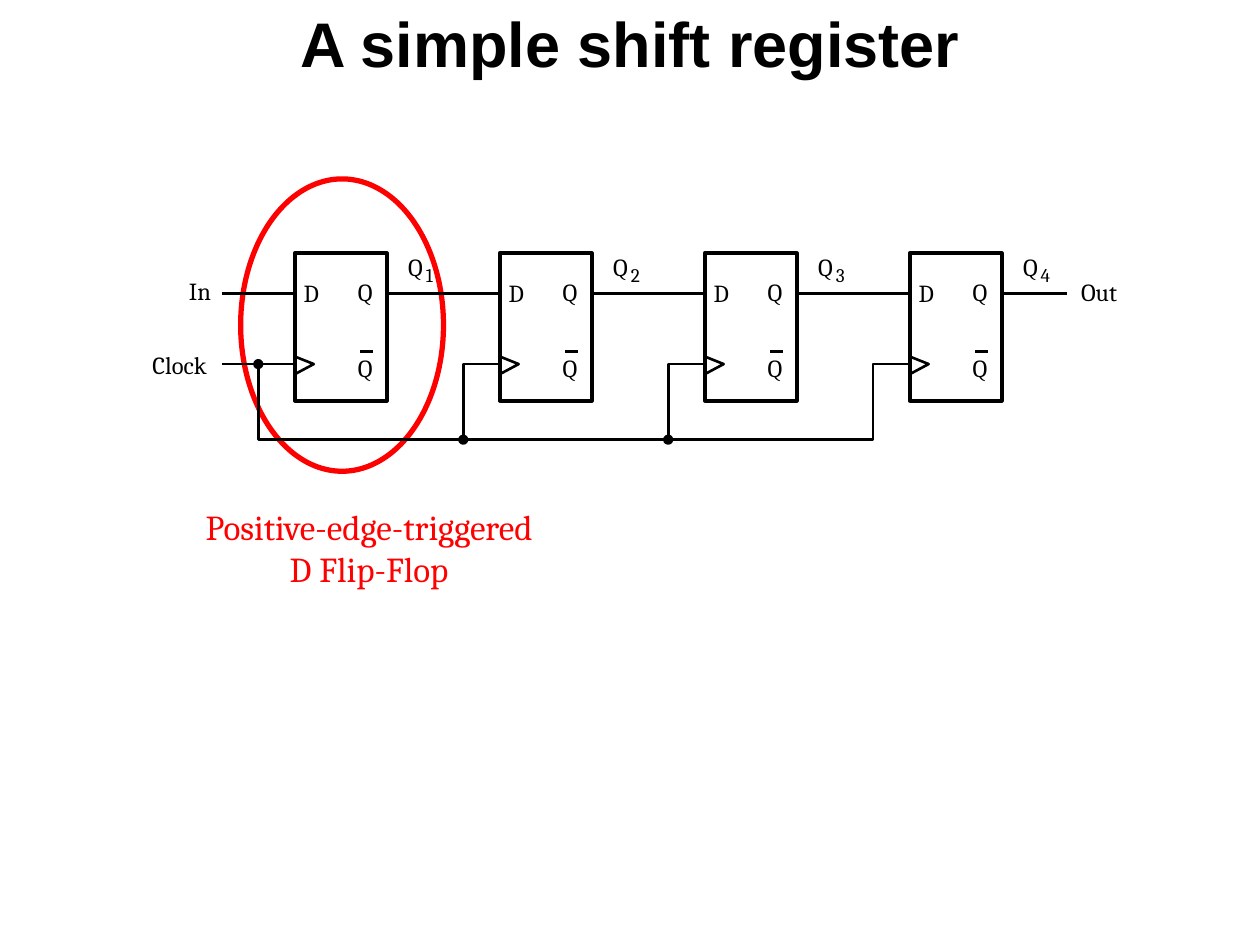
from dataclasses import dataclass

from lxml.etree import SubElement
from pptx import Presentation
from pptx.dml.color import RGBColor
from pptx.enum.shapes import MSO_CONNECTOR, MSO_SHAPE
from pptx.enum.text import MSO_ANCHOR, MSO_AUTO_SIZE, PP_ALIGN
from pptx.oxml.ns import qn
from pptx.util import Inches, Pt


@dataclass(frozen=True)
class Theme:
    ink: RGBColor = RGBColor(0, 0, 0)
    paper: RGBColor = RGBColor(255, 255, 255)
    accent: RGBColor = RGBColor(255, 0, 0)
    title_font: str = "Arial"
    label_font: str = "Cambria"
    title_size: float = 36
    caption_size: float = 20
    label_size: float = 14
    index_size: float = 11
    wire: float = 1.5
    box: float = 2.25
    highlight: float = 3


THEME = Theme()
STAGES = 4
FIRST_LEFT, LAST_LEFT = 2.34, 7.22
PITCH = (LAST_LEFT - FIRST_LEFT) / (STAGES - 1)
BOX_TOP, BOX_WIDTH, BOX_HEIGHT = 2.01, 0.73, 1.17
DATA_ROW, CLOCK_ROW, BUS_ROW = 2.33, 2.89, 3.49
WIRE_START, WIRE_END = 1.76, 8.47
TAP_OFFSET = 0.29
DOT = 0.06


def stage_left(column):
    return FIRST_LEFT + column * PITCH


def tap_x(column):
    return stage_left(column) - TAP_OFFSET


def write_text(frame, text, *, font=THEME.label_font, size=THEME.label_size,
               color=THEME.ink, bold=False, align=PP_ALIGN.LEFT):
    frame.text = text
    for paragraph in frame.paragraphs:
        paragraph.alignment = align
        for run in paragraph.runs:
            run.font.name = font
            run.font.size = Pt(size)
            run.font.bold = bold
            run.font.color.rgb = color


def add_label(slide, text, left, top, width, height, inset=0, **text_format):
    frame = slide.shapes.add_textbox(*map(Inches, (left, top, width, height))).text_frame
    frame.word_wrap = False
    frame.auto_size = MSO_AUTO_SIZE.SHAPE_TO_FIT_TEXT
    if not inset:
        frame.margin_left = frame.margin_right = 0
        frame.margin_top = frame.margin_bottom = 0
    write_text(frame, text, **text_format)


def style_outline(outline, color, weight, fill=None):
    outline.shadow.inherit = False
    if fill is None:
        outline.fill.background()
    else:
        outline.fill.solid()
        outline.fill.fore_color.rgb = fill
    outline.line.color.rgb = color
    outline.line.width = Pt(weight)


def add_outline(slide, kind, left, top, width, height, **style):
    outline = slide.shapes.add_shape(kind, *map(Inches, (left, top, width, height)))
    style_outline(outline, **style)


def add_wire(slide, start, end):
    wire = slide.shapes.add_connector(MSO_CONNECTOR.STRAIGHT, *map(Inches, (*start, *end)))
    wire.line.color.rgb = THEME.ink
    wire.line.width = Pt(THEME.wire)
    SubElement(wire.element.spPr, qn("a:effectLst"))


def add_bent_wire(slide, *points):
    corners = [(Inches(x), Inches(y)) for x, y in points]
    builder = slide.shapes.build_freeform(*corners[0])
    builder.add_line_segments(corners[1:], close=False)
    style_outline(builder.convert_to_shape(), THEME.ink, THEME.wire)


def add_junction(slide, x, y):
    add_outline(slide, MSO_SHAPE.OVAL, x - DOT / 2, y - DOT / 2, DOT, DOT,
                color=THEME.ink, weight=THEME.wire, fill=THEME.ink)


def add_flip_flop(slide, column):
    left = stage_left(column)
    add_outline(slide, MSO_SHAPE.RECTANGLE, left, BOX_TOP, BOX_WIDTH, BOX_HEIGHT,
                color=THEME.ink, weight=THEME.box, fill=THEME.paper)
    add_label(slide, "D", left + 0.07, 2.21, 0.27, 0.26)
    for top in (2.2, 2.8):
        add_label(slide, "Q", left + 0.5, top, 0.27, 0.26)
    add_wire(slide, (left + 0.52, 2.79), (left + 0.62, 2.79))
    add_bent_wire(slide, (left, 2.97), (left + 0.15, CLOCK_ROW), (left, 2.83))
    add_label(slide, "Q", left + 0.9, 2, 0.27, 0.26)
    add_label(slide, str(column + 1), left + 1.04, 2.09, 0.18, 0.21, size=THEME.index_size)


def add_data_wires(slide):
    starts = [WIRE_START] + [stage_left(column) + BOX_WIDTH for column in range(STAGES)]
    ends = [stage_left(column) for column in range(STAGES)] + [WIRE_END]
    for start, end in zip(starts, ends):
        add_wire(slide, (start, DATA_ROW), (end, DATA_ROW))


def add_clock_wires(slide):
    first, last = tap_x(0), tap_x(STAGES - 1)
    add_bent_wire(slide, (WIRE_START, CLOCK_ROW), (first, CLOCK_ROW), (first, BUS_ROW),
                  (last, BUS_ROW), (last, CLOCK_ROW), (LAST_LEFT, CLOCK_ROW))
    add_wire(slide, (first, CLOCK_ROW), (FIRST_LEFT, CLOCK_ROW))
    add_junction(slide, first, CLOCK_ROW)
    for column in range(1, STAGES - 1):
        tap = tap_x(column)
        add_bent_wire(slide, (tap, BUS_ROW), (tap, CLOCK_ROW), (stage_left(column), CLOCK_ROW))
        add_junction(slide, tap, BUS_ROW)


def add_title(slide, text, width):
    title = slide.shapes.title
    title.left, title.top, title.width, title.height = 0, 0, width, Inches(0.67)
    title.text_frame.vertical_anchor = MSO_ANCHOR.MIDDLE
    title.text_frame.auto_size = MSO_AUTO_SIZE.NONE
    write_text(title.text_frame, text, font=THEME.title_font, size=THEME.title_size,
               bold=True, align=PP_ALIGN.CENTER)


def main():
    deck = Presentation()
    deck.slide_width, deck.slide_height = Inches(10), Inches(7.5)
    slide = deck.slides.add_slide(deck.slide_layouts[5])
    add_title(slide, "A simple shift register", deck.slide_width)
    add_label(slide, "Positive-edge-triggered\nD Flip-Flop", 1.51, 3.96, 2.84, 0.77, inset=True,
              size=THEME.caption_size, color=THEME.accent, align=PP_ALIGN.CENTER)
    add_outline(slide, MSO_SHAPE.OVAL, 1.91, 1.42, 1.61, 2.32,
                color=THEME.accent, weight=THEME.highlight)
    for column in range(STAGES):
        add_flip_flop(slide, column)
    add_data_wires(slide)
    add_clock_wires(slide)
    add_label(slide, "In", 1.5, 2.19, 0.24, 0.26)
    add_label(slide, "Clock", 1.21, 2.78, 0.59, 0.26)
    add_label(slide, "Out", 8.58, 2.2, 0.42, 0.26)
    deck.save("out.pptx")


if __name__ == "__main__":
    main()
